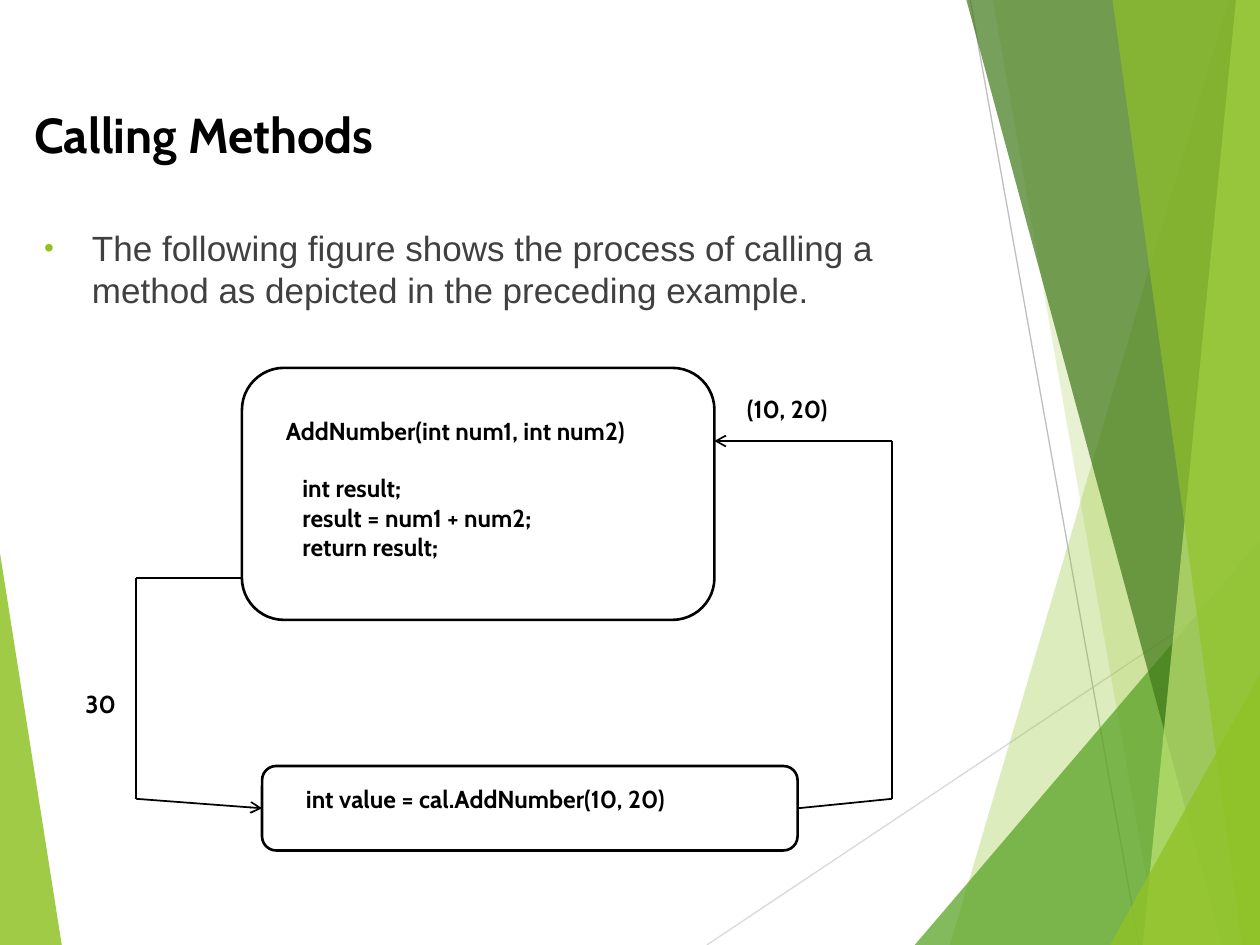
from lxml import etree
from pptx import Presentation
from pptx.dml.color import RGBColor
from pptx.enum.shapes import MSO_CONNECTOR, MSO_SHAPE
from pptx.enum.text import MSO_ANCHOR, MSO_AUTO_SIZE, PP_ALIGN
from pptx.oxml.ns import qn
from pptx.util import Inches, Pt

STRAIGHT = MSO_CONNECTOR.STRAIGHT
ROUNDED = MSO_SHAPE.ROUNDED_RECTANGLE
TOP, LEFT, FIXED = MSO_ANCHOR.TOP, PP_ALIGN.LEFT, MSO_AUTO_SIZE.NONE

COLORS = {
    "white": "FFFFFF", "black": "000000", "text": "404040",
    "lime": "90C226", "pale": "C0E474", "green": "54A021", "forest": "3F7819",
    "light_line": "D9D9D9", "grey_line": "BFBFBF",
}
HEADING = {"name": "Cabin", "size": Pt(28), "bold": True}
BODY = {"name": "Arial", "size": Pt(20), "bold": False}
CODE = {"name": "Cabin", "size": Pt(14), "bold": True}


def rgb(color):
    return RGBColor.from_string(COLORS[color])


def format_font(font, style, color):
    for attribute, value in style.items():
        setattr(font, attribute, value)
    font.color.rgb = rgb(color)


def place(shape, box):
    for attribute, value in zip(("left", "top", "width", "height"), box):
        setattr(shape, attribute, Inches(value))


def prepare_frame(frame):
    frame.word_wrap = True
    frame.auto_size = FIXED
    frame.vertical_anchor = TOP


def add_line(slide, start, end, color, width, arrow=False):
    line = slide.shapes.add_connector(
        STRAIGHT, *(Inches(value) for value in (*start, *end)))
    line.line.color.rgb = rgb(color)
    line.line.width = Pt(width)
    properties = line._element.spPr
    if arrow:
        etree.SubElement(properties.find(qn("a:ln")), qn("a:tailEnd"), type="arrow")
    etree.SubElement(properties, qn("a:effectLst"))


def add_facet(slide, points, color, opacity):
    """Draw a borderless polygon with the given opacity in percent."""
    start, *rest = [(Inches(x), Inches(y)) for x, y in points]
    builder = slide.shapes.build_freeform(*start)
    builder.add_line_segments(rest, close=True)
    facet = builder.convert_to_shape()
    facet.shadow.inherit = False
    facet.line.fill.background()
    facet.fill.solid()
    facet.fill.fore_color.rgb = rgb(color)
    fill_color = facet._element.spPr.find(qn("a:solidFill"))[0]
    etree.SubElement(fill_color, qn("a:alpha"), val=str(opacity * 1000))


def add_backdrop(slide, box):
    left, top, width, height = box
    right, bottom = left + width, top + height
    add_facet(slide, [(left, top + 4.39), (left + 0.49, bottom), (left, bottom)],
              "lime", 85)
    add_line(slide, (left + 5.61, bottom), (right, top + 4.57), "light_line", 0.75)
    add_line(slide, (left + 7.7, top), (left + 9.04, bottom), "grey_line", 0.75)
    # top-left x, bottom-left x, top y, colour, opacity; each runs to the right edge
    facets = [
        (9.75, 7.54, 0, "lime", 30),
        (7.88, 9.19, 0, "lime", 20),
        (10, 7.26, 4.29, "green", 72),
        (7.67, 9.7, 0, "forest", 70),
        (9.81, 9.07, 0, "pale", 70),
        (8.83, 9.86, 0, "lime", 65),
        (10, 8.81, 5.35, "lime", 80),
    ]
    for upper_x, lower_x, upper_y, color, opacity in facets:
        points = [(left + upper_x, top + upper_y), (left + lower_x, bottom),
                  (right, bottom)]
        if upper_x < width:
            points.append((right, top + upper_y))
        add_facet(slide, points, color, opacity)


def fill_title(slide, box):
    title = slide.shapes.title
    place(title, box)
    prepare_frame(title.text_frame)
    title.text_frame.text = "Calling Methods"
    heading = title.text_frame.paragraphs[0]
    heading.alignment = LEFT
    heading.space_before = Pt(0)
    format_font(heading.font, HEADING, "black")


def fill_body(slide, box):
    body = slide.placeholders[1]
    place(body, box)
    body.fill.solid()
    body.fill.fore_color.rgb = rgb("white")
    prepare_frame(body.text_frame)
    body.text_frame.text = ("The following figure shows the process of calling a "
                            "method as depicted in the preceding example.")
    intro = body.text_frame.paragraphs[0]
    intro.space_before = Pt(0)
    properties = intro._p.get_or_add_pPr()
    properties.set("marL", str(Inches(0.38)))
    properties.set("indent", str(-Inches(0.38)))
    bullet_color = etree.SubElement(properties, qn("a:buClr"))
    etree.SubElement(bullet_color, qn("a:srgbClr"), val=COLORS["lime"])
    etree.SubElement(properties, qn("a:buSzPct"), val="80000")
    etree.SubElement(properties, qn("a:buFont"), typeface="Arial")
    etree.SubElement(properties, qn("a:buChar"), char="•")
    format_font(intro.font, BODY, "text")


def add_code(slide, box, lines):
    """Write code lines, with a gap of one line after the signature."""
    frame = slide.shapes.add_textbox(*(Inches(value) for value in box)).text_frame
    prepare_frame(frame)
    frame.text = "\n".join(lines)
    for paragraph in frame.paragraphs:
        format_font(paragraph.font, CODE, "black")
    if len(lines) > 1:
        frame.paragraphs[1].space_before = Pt(16)


def add_call_diagram(slide, box):
    left, top, width, height = box

    def at(x, y):
        return left + x, top + y

    labels = [
        ((1.59, 0.33, 3.33, 1.28), ["AddNumber(int num1, int num2)",
                                    "   int result;",
                                    "   result = num1 + num2;",
                                    "   return result;"]),
        ((1.75, 3.25, 3.5, 0.34), ["int value = cal.AddNumber(10, 20)"]),
        ((0, 2.5, 0.5, 0.33), ["30"]),
        ((5.25, 0.16, 1.08, 0.34), ["(10, 20)"]),
    ]
    for (x, y, *size), lines in labels:
        add_code(slide, (*at(x, y), *size), lines)

    method = (1.34, 0, 3.75, 2)
    call = (1.5, height - 0.67, 4.25, 0.67)
    for x, y, *size in (method, call):
        frame = slide.shapes.add_shape(
            ROUNDED, *(Inches(value) for value in (*at(x, y), *size)))
        frame.shadow.inherit = False
        frame.fill.background()
        frame.line.color.rgb = rgb("black")
        frame.line.width = Pt(1.5)

    call_middle = call[1] + call[3] / 2
    arguments_route = [(call[0] + call[2], call_middle), (width, 3.42),
                       (width, 0.58), (method[0] + method[2], 0.58)]
    result_route = [(method[0], 1.67), (0.5, 1.67), (0.5, 3.42),
                    (call[0], call_middle)]
    for route in (arguments_route, result_route):
        for start, end in zip(route, route[1:]):
            add_line(slide, at(*start), at(*end), "black", 1,
                     arrow=end == route[-1])


def main():
    presentation = Presentation()
    presentation.slide_width = Inches(10)
    presentation.slide_height = Inches(7.5)
    slide = presentation.slides.add_slide(presentation.slide_layouts[1])
    add_backdrop(slide, (0, 0, 10, 7.5))
    fill_title(slide, (0.17, 0.78, 9.58, 0.57))
    fill_body(slide, (0.25, 1.75, 7.75, 0.84))
    add_call_diagram(slide, (0.58, 2.92, 6.5, 3.83))
    presentation.save("out.pptx")


if __name__ == "__main__":
    main()
